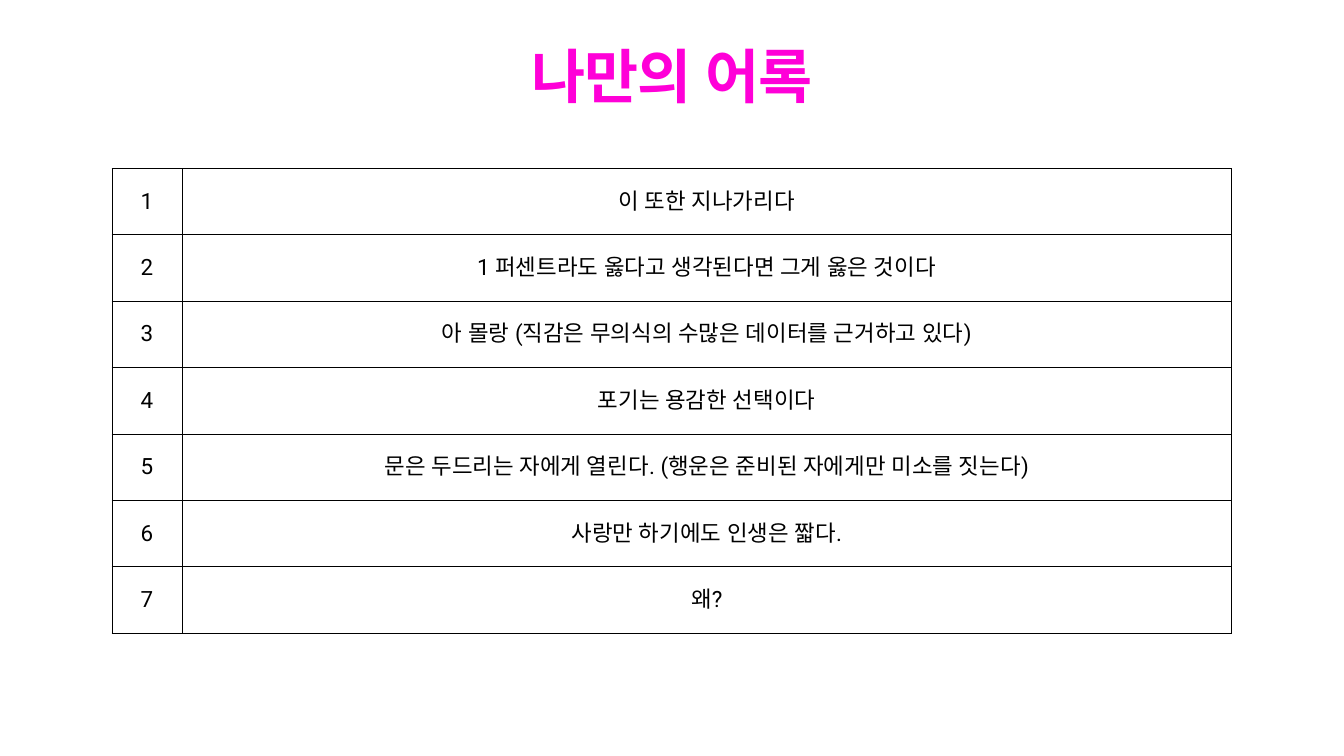
import pptx
import pptx.dml.color
import pptx.enum.text
import pptx.oxml
import pptx.oxml.ns
import pptx.util
from pptx.util import Inches

MAGENTA = pptx.dml.color.RGBColor(0xFF, 0x00, 0xD8)
BLACK = pptx.dml.color.RGBColor(0x00, 0x00, 0x00)
INSET = Inches(0.06)
MIDDLE = pptx.enum.text.MSO_ANCHOR.MIDDLE
QUOTES = [
    "이 또한 지나가리다",
    "1 퍼센트라도 옳다고 생각된다면 그게 옳은 것이다",
    "아 몰랑 (직감은 무의식의 수많은 데이터를 근거하고 있다)",
    "포기는 용감한 선택이다",
    "문은 두드리는 자에게 열린다. (행운은 준비된 자에게만 미소를 짓는다)",
    "사랑만 하기에도 인생은 짧다.",
    "왜?",
]


def write_text(text_frame, text, *, font, size, color, bold=False, line_spacing=None, tracking=0):
    """Write one centred paragraph with the given format."""
    paragraph = text_frame.paragraphs[0]
    paragraph.alignment = pptx.enum.text.PP_ALIGN.CENTER
    paragraph.line_spacing = line_spacing
    run = paragraph.add_run()
    run.text = text
    run.font.name = font
    run.font.size = pptx.util.Pt(size)
    run.font.bold = bold
    run.font.color.rgb = color
    properties = run.font._element
    east_asian = pptx.oxml.parse_xml(
        f'<a:ea {pptx.oxml.ns.nsdecls("a")} typeface="{font}"/>')
    properties.find(pptx.oxml.ns.qn("a:latin")).addnext(east_asian)
    if tracking:
        properties.set("spc", str(round(tracking * 100)))


def add_title(slide, text):
    """Place and format the slide title."""
    title = slide.shapes.title
    title.left, title.top = Inches(1.39), Inches(0.68)
    title.width, title.height = Inches(23.89), Inches(1.89)
    frame = title.text_frame
    frame.margin_left = frame.margin_right = INSET
    frame.margin_top = frame.margin_bottom = INSET
    frame.vertical_anchor = MIDDLE
    frame.word_wrap = True
    frame.auto_size = pptx.enum.text.MSO_AUTO_SIZE.NONE
    write_text(frame, text, font="Arial", size=84, color=MAGENTA,
               bold=True, line_spacing=0.8, tracking=-1.7)


def set_borders(cell, color, width):
    """Draw a solid line on all four sides of a cell."""
    properties = cell._tc.get_or_add_tcPr()
    for index, side in enumerate(("lnL", "lnR", "lnT", "lnB")):
        properties.insert(index, pptx.oxml.parse_xml(
            f'<a:{side} {pptx.oxml.ns.nsdecls("a")} w="{pptx.util.Pt(width)}">'
            f'<a:solidFill><a:srgbClr val="{color}"/></a:solidFill></a:{side}>'))


def format_cell(cell, text):
    """Write a table cell without fill and with a thin border."""
    cell.margin_left = cell.margin_right = INSET
    cell.margin_top = cell.margin_bottom = INSET
    cell.vertical_anchor = MIDDLE
    cell.fill.background()
    set_borders(cell, BLACK, 1)
    write_text(cell.text_frame, text, font="Roboto", size=32, color=BLACK)


def add_quote_table(slide, quotes):
    """Add a table of numbered quotes."""
    row_height = Inches(1.317)
    table = slide.shapes.add_table(
        len(quotes), 2, Inches(2.22), Inches(3.34),
        Inches(22.22), row_height * len(quotes)).table
    table.first_row = table.horz_banding = False
    table.columns[0].width = Inches(1.39)
    table.columns[1].width = Inches(20.83)
    for number, (row, quote) in enumerate(zip(table.rows, quotes), start=1):
        row.height = row_height
        for cell, text in zip(row.cells, (str(number), quote)):
            format_cell(cell, text)


def main():
    """Build and save the presentation."""
    presentation = pptx.Presentation()
    presentation.slide_width = Inches(26.67)
    presentation.slide_height = Inches(15)
    slide = presentation.slides.add_slide(presentation.slide_layouts[5])
    add_title(slide, "나만의 어록")
    add_quote_table(slide, QUOTES)
    presentation.save("out.pptx")


main()
